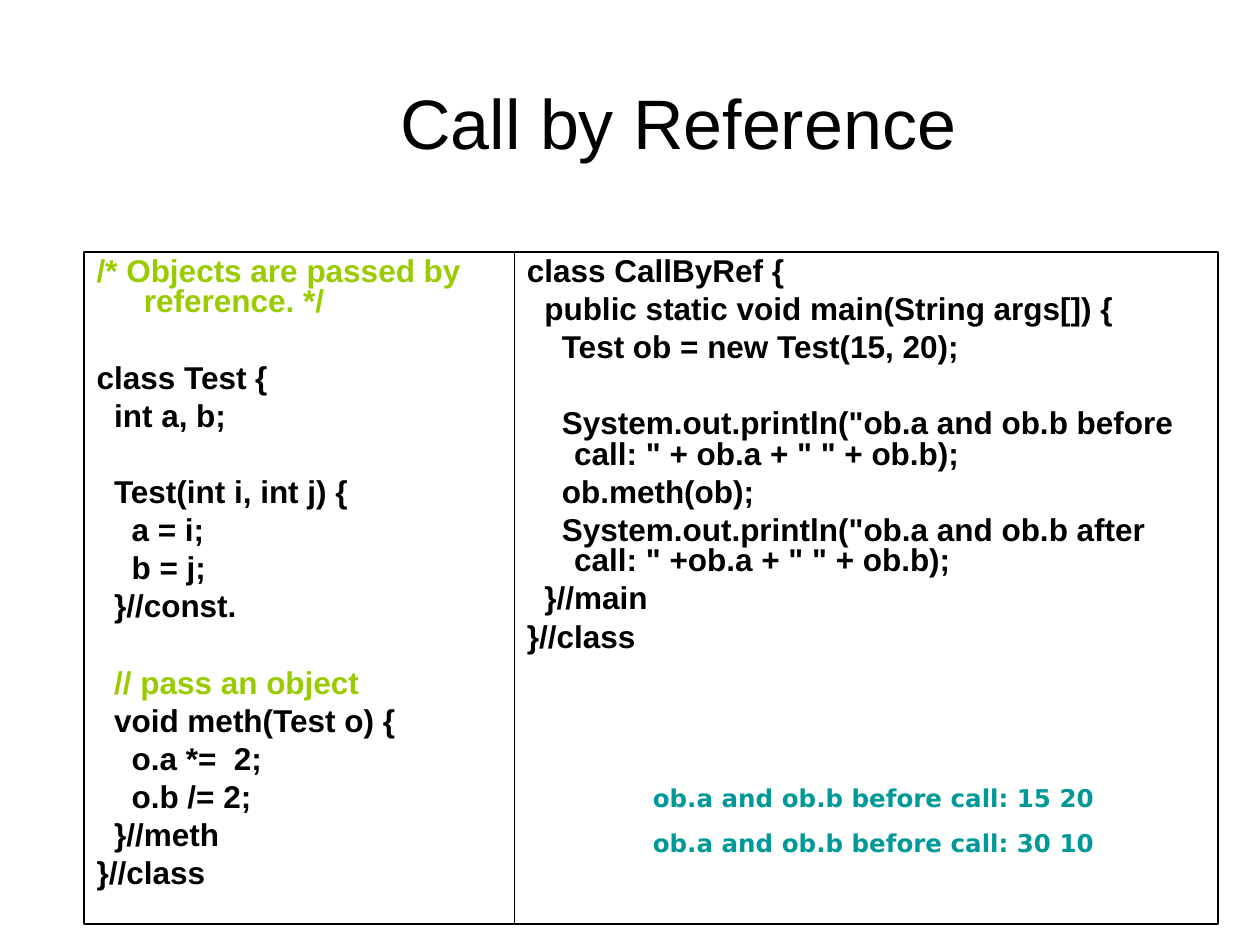
"""Build the Call by Reference slide with two code panels and the program output."""
from dataclasses import dataclass

from lxml import etree
from pptx import Presentation
from pptx import util as u
from pptx.dml.color import RGBColor
from pptx.enum import shapes, text
from pptx.oxml.ns import qn

COLORS = {"ink": "000000", "comment": "99CC00", "output": "009999"}
HANGING = 27
INDENT_STEP = 10
LINE_GAP = 4.5
GROUP_GAP = 26.3
PANEL_TOP = 144
PANEL_HEIGHT = 384


@dataclass(frozen=True)
class CodeLine:
    """One line of code, its depth, and whether it opens a new group."""
    content: str
    level: int = 0
    color: str = "ink"
    new_group: bool = False


TEST_CLASS = [
    CodeLine("/* Objects are passed by reference. */", color="comment"),
    CodeLine("class Test {", new_group=True),
    CodeLine("int a, b;", 1),
    CodeLine("Test(int i, int j) {", 1, new_group=True),
    CodeLine("a = i;", 2),
    CodeLine("b = j;", 2),
    CodeLine("}//const.", 1),
    CodeLine("// pass an object", 1, "comment", True),
    CodeLine("void meth(Test o) {", 1),
    CodeLine("o.a *=  2;", 2),
    CodeLine("o.b /= 2;", 2),
    CodeLine("}//meth", 1),
    CodeLine("}//class"),
]
MAIN_CLASS = [
    CodeLine("class CallByRef {"),
    CodeLine("public static void main(String args[]) {", 1),
    CodeLine("Test ob = new Test(15, 20);", 2),
    CodeLine('System.out.println("ob.a and ob.b before call: " + ob.a + " " + ob.b);', 2,
             new_group=True),
    CodeLine("ob.meth(ob);", 2),
    CodeLine('System.out.println("ob.a and ob.b after call: " +ob.a + " " + ob.b);', 2),
    CodeLine("}//main", 1),
    CodeLine("}//class"),
]
OUTPUT = ["ob.a and ob.b before call: 15 20", "ob.a and ob.b before call: 30 10"]


def place(shape, left: float, top: float, width: float, height: float) -> None:
    """Move and size a shape, in points."""
    shape.left, shape.top = u.Pt(left), u.Pt(top)
    shape.width, shape.height = u.Pt(width), u.Pt(height)


def write(paragraph, content: str, *, size: float, color: str, font: str = "Arial",
          bold: bool = False, align=text.PP_ALIGN.LEFT, before: float = 0,
          spacing: float = 1.0) -> None:
    """Fill a paragraph with one formatted run."""
    paragraph.alignment = align
    paragraph.space_before = u.Pt(before)
    paragraph.line_spacing = spacing
    run = paragraph.add_run()
    run.text = content
    run.font.name, run.font.size, run.font.bold = font, u.Pt(size), bold
    run.font.color.rgb = RGBColor.from_string(COLORS[color])


def next_paragraph(frame, index: int):
    """Return the first paragraph, or a new one after it."""
    return frame.add_paragraph() if index else frame.paragraphs[0]


def hang(paragraph, level: int) -> None:
    """Indent the first line by level and hang wrapped lines, without a bullet."""
    properties = paragraph._p.get_or_add_pPr()
    properties.set("marL", str(u.Pt(HANGING)))
    properties.set("indent", str(u.Pt(level * INDENT_STEP - HANGING)))
    etree.SubElement(properties, qn("a:buNone"))


def draw_code_panel(shape, left: float, width: float, lines: list[CodeLine]) -> None:
    """Outline a panel and list its code."""
    place(shape, left, PANEL_TOP, width, PANEL_HEIGHT)
    shape.fill.background()
    shape.line.color.rgb = RGBColor.from_string(COLORS["ink"])
    shape.line.width = u.Pt(0.75)
    frame = shape.text_frame
    frame.word_wrap = True
    frame.auto_size = text.MSO_AUTO_SIZE.NONE
    frame.vertical_anchor = text.MSO_ANCHOR.TOP
    for index, line in enumerate(lines):
        paragraph = next_paragraph(frame, index)
        write(paragraph, line.content, size=18, color=line.color, bold=True,
              before=GROUP_GAP if line.new_group else LINE_GAP, spacing=0.8)
        hang(paragraph, line.level)


def draw_output(slide) -> None:
    """Add the printed result."""
    box = slide.shapes.add_textbox(u.Pt(366), u.Pt(444), u.Pt(282), u.Pt(50))
    box.text_frame.word_wrap = True
    for index, content in enumerate(OUTPUT):
        write(next_paragraph(box.text_frame, index), content, size=14, color="output",
              font="DejaVu Sans", bold=True, before=8.8)


def main() -> None:
    """Build and save the presentation."""
    presentation = Presentation()
    presentation.slide_width, presentation.slide_height = u.Pt(720), u.Pt(540)
    slide = presentation.slides.add_slide(presentation.slide_layouts[1])

    title = slide.shapes.title
    place(title, 66, 42, 643, 55)
    title.text_frame.vertical_anchor = text.MSO_ANCHOR.MIDDLE
    write(title.text_frame.paragraphs[0], "Call by Reference", size=40, color="ink",
          align=text.PP_ALIGN.CENTER)

    draw_code_panel(slide.placeholders[1], 48, 246, TEST_CLASS)
    main_panel = slide.shapes.add_shape(shapes.MSO_SHAPE.RECTANGLE, 0, 0, 0, 0)
    main_panel.shadow.inherit = False
    draw_code_panel(main_panel, 294, 402, MAIN_CLASS)
    draw_output(slide)
    presentation.save("out.pptx")


if __name__ == "__main__":
    main()
